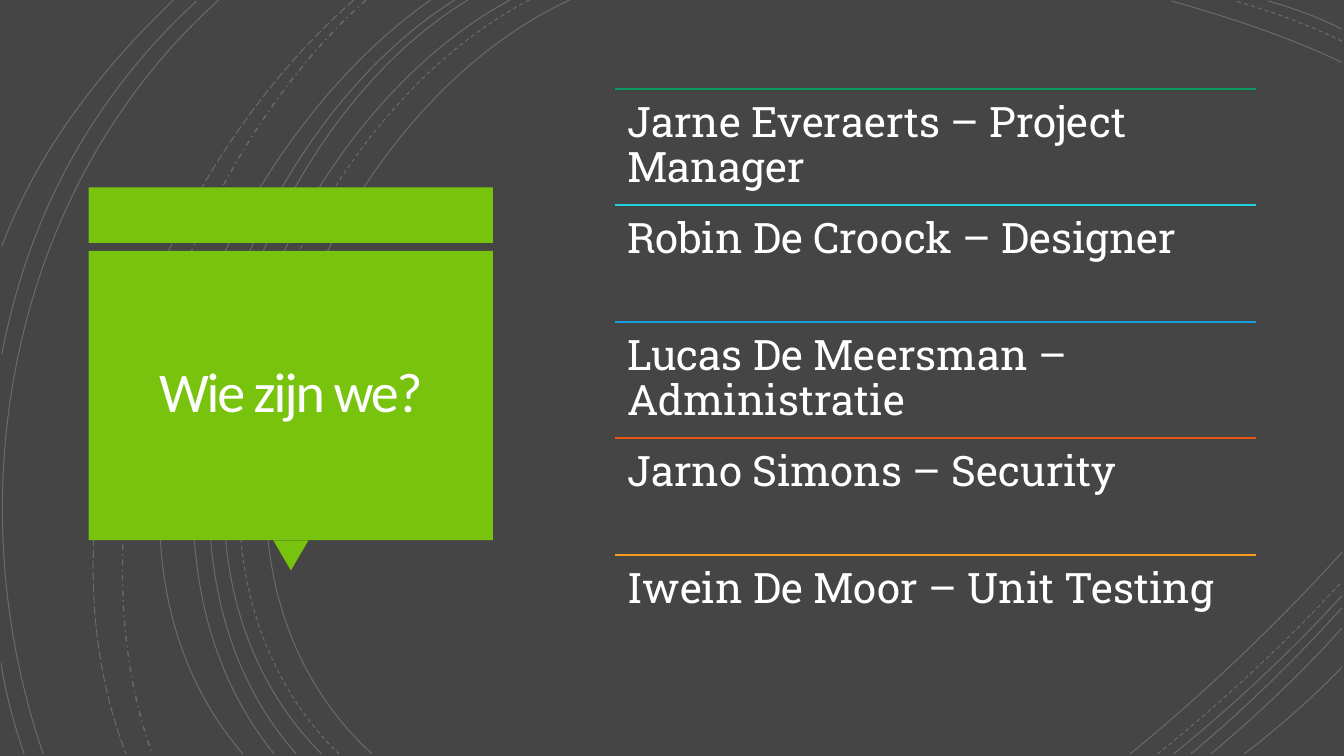
"""Build the team introduction slide with its arc background."""
from lxml.etree import SubElement
from pptx import Presentation
from pptx.dml.color import RGBColor
from pptx.enum.dml import MSO_LINE as DASHES
from pptx.enum.shapes import MSO_CONNECTOR as CONNECTOR, MSO_SHAPE as SHAPE
from pptx.enum.text import MSO_ANCHOR as ANCHOR, PP_ALIGN as ALIGN
from pptx.oxml.ns import qn
from pptx.util import Pt

PX = 9144
WIDTH, HEIGHT = 1333, 750
ARC_RIGHT, ARC_BOTTOM = 1331, 748
GREY, GREEN, WHITE, TITLE_WHITE = "454545", "78C30D", "FFFFFF", "FFFEFF"
SOLID, DASH, LONG, DASH_DOT = (
    DASHES.SOLID, DASHES.DASH, DASHES.LONG_DASH, DASHES.DASH_DOT)

# Columns: x at the top, two control points, x at the bottom, dash.
FULL_HEIGHT_ARCS = [
    (565, (315, 115), (143, 540), 369, SOLID),
    (525, (285, 125), (123, 537), 336, DASH),
    (506, (270, 127), (110, 537), 319, SOLID),
    (464, (244, 133), (110, 541), 294, SOLID),
    (451, (231, 138), (97, 533), 272, SOLID),
    (427, (217, 147), (53, 529), 241, SOLID),
    (363, (176, 166), (65, 509), 151, DASH_DOT),
    (351, (157, 169), (29, 499), 125, LONG),
    (217, (11, 185), (-46, 490), 43, SOLID),
]
# Columns: start, two control points, end.
LEFT_EDGE_ARCS = [
    ((195, 1), (92, 96), (28, 214), (2, 351)),
    ((1, 658), (6, 689), (14, 719), (24, 748)),
    ((172, 0), (100, 69), (37, 150), (2, 244)),
]
# Columns: y on the right edge, x on the top edge, dash.
TOP_RIGHT_ARCS = [(62, 1162, SOLID), (41, 1225, DASH), (29, 1258, SOLID)]
TOP_RIGHT_BEND = (0.32, 0.42), (0.67, 0.74)
# Columns: x on the bottom edge, y on the right edge, dash.
BOTTOM_RIGHT_ARCS = [
    (1121, 548, SOLID), (1148, 577, DASH), (1164, 591, SOLID),
    (1181, 603, SOLID), (1201, 623, SOLID), (1234, 662, SOLID),
]
BOTTOM_RIGHT_BEND = (0.35, 0.30), (0.69, 0.64)

CARD_LEFT, CARD_TOP, CARD_WIDTH, CARD_HEIGHT = 88, 249, 401, 287
BAND_TOP, BAND_HEIGHT = 186, 55
POINTER_WIDTH, POINTER_HEIGHT = 35, 30
TITLE_GAP = 9

LIST_LEFT, LIST_TOP, LIST_WIDTH, LIST_HEIGHT = 610, 88, 636, 578
MEMBERS = [
    ("Jarne Everaerts – Project Manager", "099B62"),
    ("Robin De Croock – Designer", "21CFDF"),
    ("Lucas De Meersman – Administratie", "179FDF"),
    ("Jarno Simons – Security", "E75710"),
    ("Iwein De Moor – Unit Testing", "F89C19"),
]
TITLE_STYLE = {
    "font": {"name": "Calibri", "size": Pt(40)},
    "paragraph": {"alignment": ALIGN.CENTER, "line_spacing": 0.85},
    "anchor": ANCHOR.MIDDLE, "inset": 25, "color": TITLE_WHITE,
}
MEMBER_STYLE = {
    "font": {"name": "Roboto Slab", "size": Pt(30)},
    "paragraph": {"alignment": ALIGN.LEFT, "line_spacing": 0.9},
    "anchor": ANCHOR.TOP, "inset": 12, "color": WHITE,
}


def px(*lengths):
    """Turn px lengths into EMU."""
    return [round(length * PX) for length in lengths]


def paint(color_format, color):
    """Give a colour format an RGB value from a hex string."""
    color_format.rgb = RGBColor.from_string(color)


def apply(obj, values):
    """Set each attribute named in a dict of format values."""
    for name, value in values.items():
        setattr(obj, name, value)


def add_arc(s, start, control1, control2, end, dash=SOLID):
    """Draw one faint cubic curve."""
    builder = s.shapes.build_freeform(*start, scale=float(PX))
    builder.add_line_segments([control1, control2, end], close=False)
    sp = builder.convert_to_shape()
    sp.shadow.inherit = False
    sp.fill.background()
    width = Pt(1 if dash == DASH_DOT else 0.75)
    apply(sp.line, {"width": width, "dash_style": dash})
    paint(sp.line.color, WHITE)
    rgb = next(sp._element.spPr.iter(qn("a:srgbClr")))
    SubElement(rgb, qn("a:alpha"), val="20000")
    segments = list(sp._element.iter(qn("a:lnTo")))
    outline = segments[0].getparent()
    curve = SubElement(outline, qn("a:cubicBezTo"))
    for segment in segments:
        curve.append(segment[0])
        outline.remove(segment)


def add_corner_arc(s, start, end, bend, dash):
    """Draw an arc whose control points are fractions of the way to its end."""
    (x0, y0), (x1, y1) = start, end
    controls = [(round(x0 + (x1 - x0) * across), round(y0 + (y1 - y0) * down))
                for across, down in bend]
    add_arc(s, start, *controls, end, dash)


def add_background_arcs(s):
    """Draw the four families of arcs."""
    for top_x, control1, control2, bottom_x, dash in FULL_HEIGHT_ARCS:
        add_arc(s, (top_x, 0), control1, control2, (bottom_x, ARC_BOTTOM), dash)
    for points in LEFT_EDGE_ARCS:
        add_arc(s, *points)
    for y, x, dash in TOP_RIGHT_ARCS:
        add_corner_arc(s, (ARC_RIGHT, y), (x, 1), TOP_RIGHT_BEND, dash)
    for x, y, dash in BOTTOM_RIGHT_ARCS:
        add_corner_arc(s, (x, ARC_BOTTOM), (ARC_RIGHT, y), BOTTOM_RIGHT_BEND, dash)


def add_block(s, kind, box, rotation=0):
    """Add a plain green shape."""
    sp = s.shapes.add_shape(kind, *px(*box))
    sp.shadow.inherit = False
    sp.fill.solid()
    paint(sp.fill.fore_color, GREEN)
    sp.line.fill.background()
    sp.rotation = rotation


def add_rule(s, x, y, width, color):
    """Add a coloured horizontal line."""
    rule = s.shapes.add_connector(CONNECTOR.STRAIGHT, *px(x, y, x + width, y))
    rule.line.width = Pt(1.5)
    paint(rule.line.color, color)
    SubElement(rule._element.spPr, qn("a:effectLst"))


def add_text(s, text, box, style):
    """Add a wrapped one-paragraph text box and return its run."""
    tf = s.shapes.add_textbox(*px(*box)).text_frame
    for side in ("left", "top", "right", "bottom"):
        setattr(tf, f"margin_{side}", style["inset"] * PX)
    apply(tf, {"word_wrap": True, "vertical_anchor": style["anchor"]})
    p = tf.paragraphs[0]
    apply(p, style["paragraph"])
    r = p.add_run()
    r.text = text
    apply(r.font, style["font"])
    paint(r.font.color, style["color"])
    return r


def add_title_card(s):
    """Add the green callout with its band, pointer and title."""
    pointer_left = CARD_LEFT + (CARD_WIDTH - POINTER_WIDTH) / 2
    card_bottom = CARD_TOP + CARD_HEIGHT
    add_block(s, SHAPE.RECTANGLE, (CARD_LEFT, BAND_TOP, CARD_WIDTH, BAND_HEIGHT))
    add_block(s, SHAPE.ISOSCELES_TRIANGLE,
              (pointer_left, card_bottom, POINTER_WIDTH, POINTER_HEIGHT), 180)
    add_block(s, SHAPE.RECTANGLE, (CARD_LEFT, CARD_TOP, CARD_WIDTH, CARD_HEIGHT))
    title_box = (CARD_LEFT + TITLE_GAP, CARD_TOP + TITLE_GAP,
                 CARD_WIDTH - 2 * TITLE_GAP, CARD_HEIGHT - 2 * TITLE_GAP)
    r = add_text(s, "Wie zijn we?", title_box, TITLE_STYLE)
    r.font._element.set("spc", "-150")


def add_members(s):
    """List the team members in equal rows, each under a coloured line."""
    row_height = LIST_HEIGHT / len(MEMBERS)
    for i, (member, color) in enumerate(MEMBERS):
        y = LIST_TOP + i * row_height
        add_rule(s, LIST_LEFT, y, LIST_WIDTH, color)
        add_text(s, member, (LIST_LEFT, y, LIST_WIDTH, row_height), MEMBER_STYLE)


def main():
    """Build and save the slide."""
    prs = Presentation()
    prs.slide_width, prs.slide_height = px(WIDTH, HEIGHT)
    s = prs.slides.add_slide(prs.slide_layouts[6])
    s.background.fill.solid()
    paint(s.background.fill.fore_color, GREY)
    add_background_arcs(s)
    add_title_card(s)
    add_members(s)
    prs.save("out.pptx")


if __name__ == "__main__":
    main()
